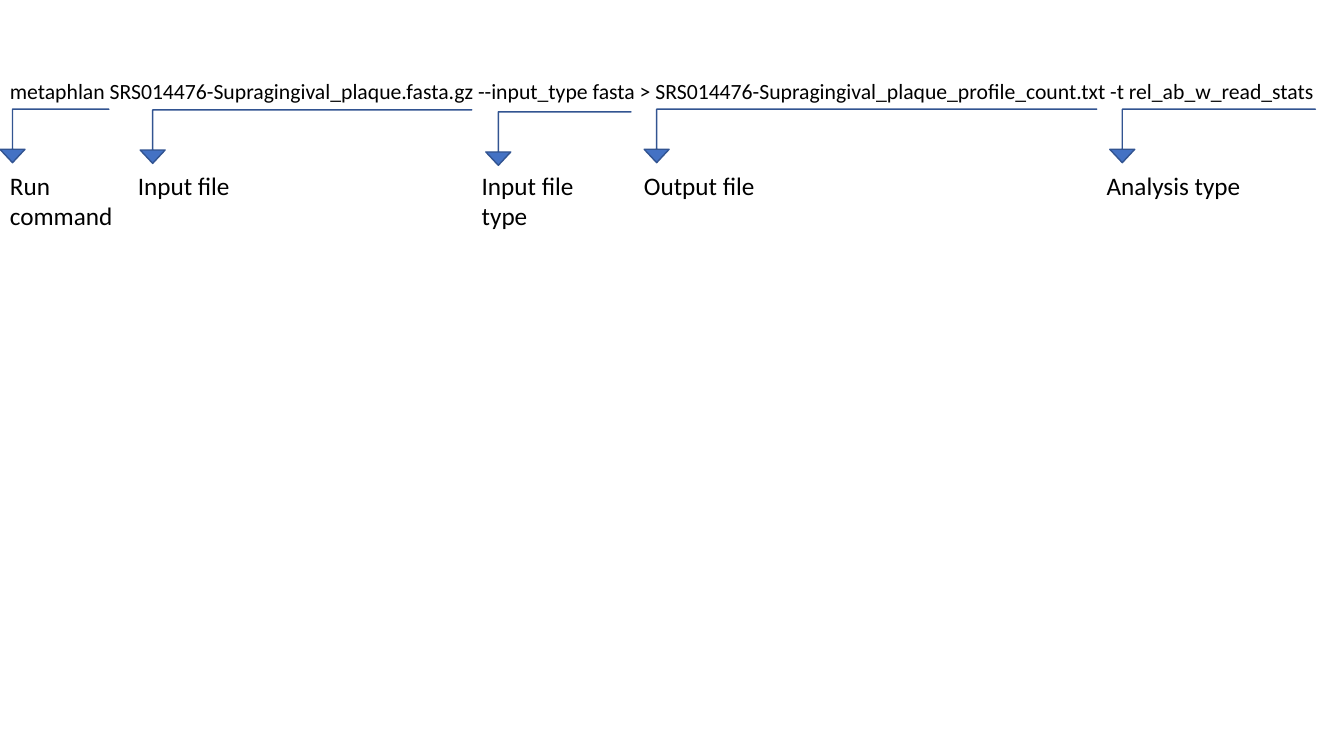
import pptx
import pptx.util
import pptx.dml.color
import pptx.enum.shapes
import pptx.enum.text

Pt = pptx.util.Pt
COLORS = {"text": "000000", "fill": "4472C4", "outline": "325491"}
LABEL_TOP = 118.1
LABEL_WIDTH = 112.3
ARROW_HEIGHT = 38.2


def color(name):
    return pptx.dml.color.RGBColor.from_string(COLORS[name])


def add_text(slide, text, left, top, width, height, size):
    box = slide.shapes.add_textbox(Pt(left), Pt(top), Pt(width), Pt(height))
    frame = box.text_frame
    frame.word_wrap = True
    frame.auto_size = pptx.enum.text.MSO_AUTO_SIZE.SHAPE_TO_FIT_TEXT
    frame.text = text
    font = frame.paragraphs[0].font
    font.name = "Calibri"
    font.size = Pt(size)
    font.color.rgb = color("text")


def add_arrow(slide, left, top, width):
    arrow = slide.shapes.add_shape(
        pptx.enum.shapes.MSO_SHAPE.BENT_UP_ARROW,
        Pt(left), Pt(top), Pt(width), Pt(ARROW_HEIGHT))
    arrow.rotation = 180
    for index, value in enumerate((0, 0.233, 0.25)):
        arrow.adjustments[index] = value
    arrow.shadow.inherit = False
    arrow.fill.solid()
    arrow.fill.fore_color.rgb = color("fill")
    arrow.line.color.rgb = color("outline")
    arrow.line.width = Pt(1)


def main():
    presentation = pptx.Presentation()
    presentation.slide_width = Pt(960)
    presentation.slide_height = Pt(540)
    slide = presentation.slides.add_slide(presentation.slide_layouts[6])

    command = ("metaphlan SRS014476-Supragingival_plaque.fasta.gz "
               "--input_type fasta > "
               "SRS014476-Supragingival_plaque_profile_count.txt "
               "-t rel_ab_w_read_stats")
    add_text(slide, command, 0, 51.8, 996.5, 26.6, 15.5)

    command_parts = [
        ("Run command", 0, 51.1, 0, 78, 77.8),
        ("Input file", 91.4, 28.8, 100.1, 78.5, 236.9),
        ("Input file type", 337, 51.1, 347, 79.9, 103.7),
        ("Output file ", 452.9, 28.8, 460.1, 78, 323.3),
        ("Analysis type", 783.4, 28.8, 792.7, 78, 146.9),
    ]
    for label, label_left, label_height, arrow_left, arrow_top, arrow_width in command_parts:
        add_arrow(slide, arrow_left, arrow_top, arrow_width)
        add_text(slide, label, label_left, LABEL_TOP, LABEL_WIDTH, label_height, 18)

    presentation.save("out.pptx")


main()
